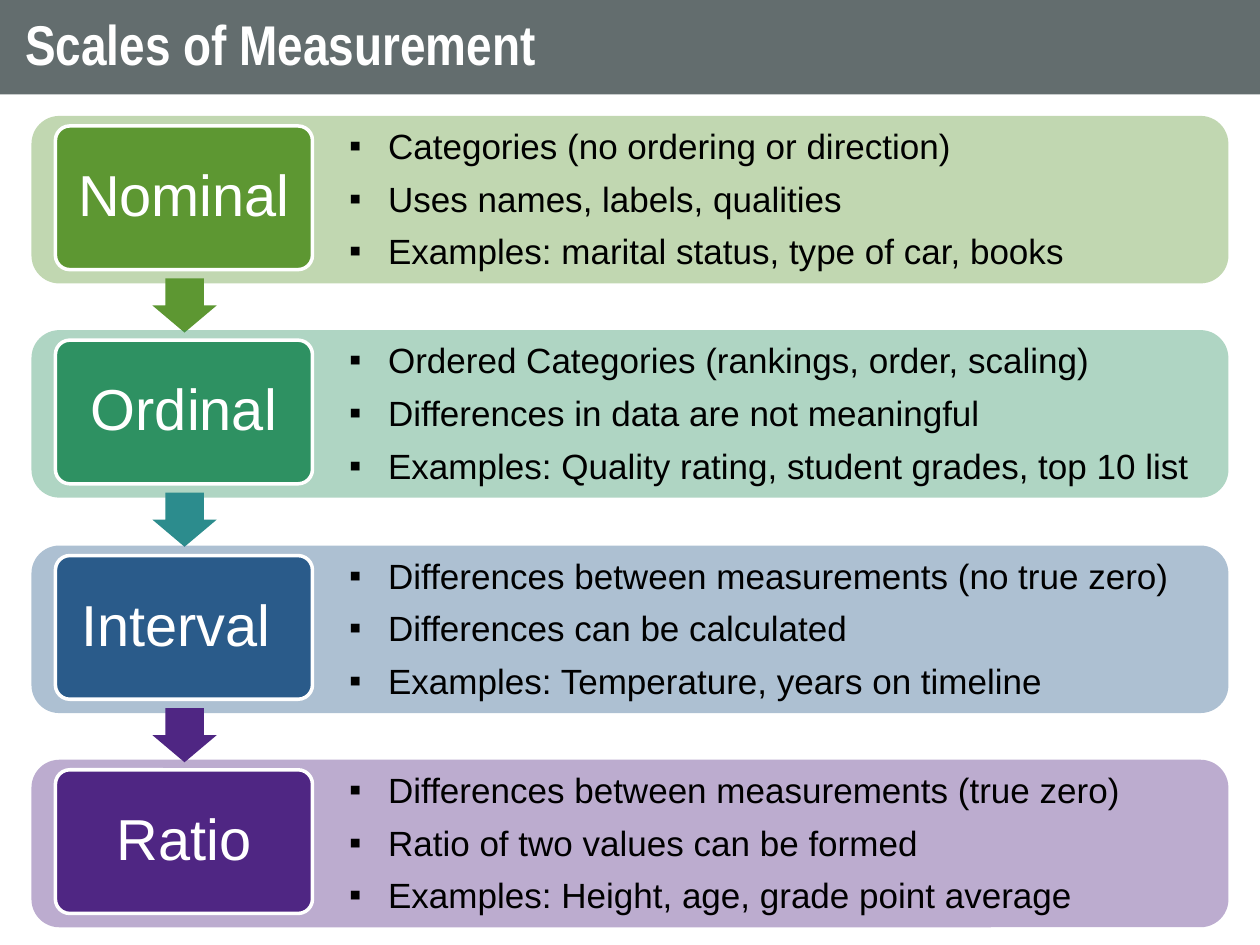
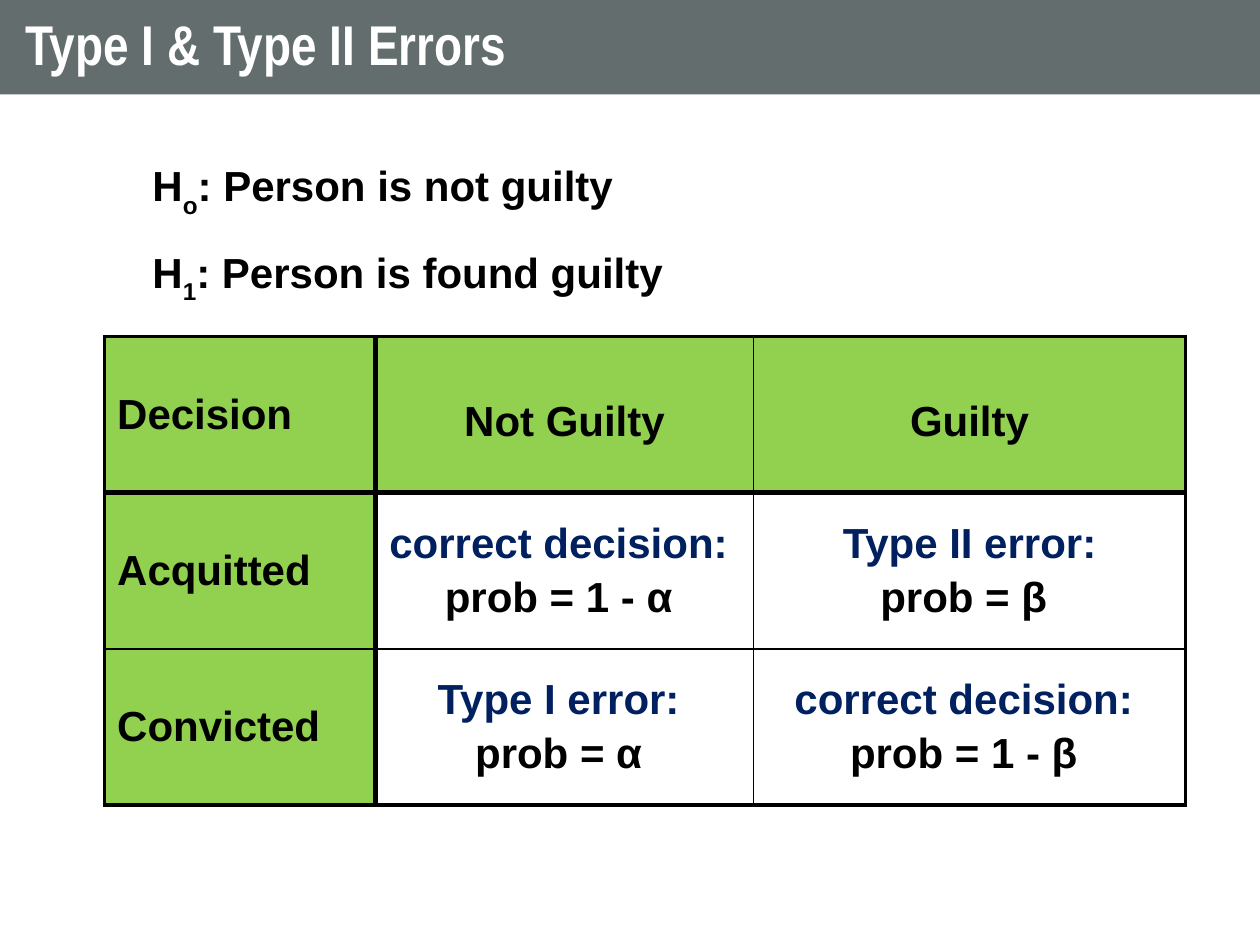
"""Build two statistics slides: scales of measurement and decision errors."""
from dataclasses import dataclass
from typing import NamedTuple

from lxml.etree import SubElement
from pptx import Presentation
from pptx.dml.color import RGBColor
from pptx.enum.shapes import MSO_SHAPE
from pptx.enum.text import MSO_ANCHOR, MSO_AUTO_SIZE, PP_ALIGN
from pptx.oxml.ns import qn
from pptx.util import Emu, Pt

EMU_PER_PX = 9144


@dataclass(frozen=True)
class Theme:
    """Colours, fonts and type sizes shared by the slides."""

    band: str = "636D6E"
    white: str = "FFFFFF"
    black: str = "000000"
    navy: str = "002060"
    header: str = "92D050"
    title_font: str = "Arial Narrow"
    body_font: str = "Arial"
    title_size: int = 32
    scale_size: int = 33
    list_size: int = 20
    table_size: int = 24
    panel_opacity: int = 38


class Scale(NamedTuple):
    """One scale of measurement, its colours and its facts."""

    name: str
    color: str
    arrow_color: str | None
    facts: tuple[str, ...]


class Hypothesis(NamedTuple):
    """A hypothesis with its subscript."""

    subscript: str
    claim: str


class Verdict(NamedTuple):
    """A decision and the outcome lines under each true state."""

    name: str
    outcomes: tuple[tuple[str, str], ...]


THEME = Theme()
SCALES = (
    Scale("Nominal", "5D9732", "5D9732", (
        "Categories (no ordering or direction)",
        "Uses names, labels, qualities",
        "Examples: marital status, type of car, books")),
    Scale("Ordinal", "2E9162", "2C8C8D", (
        "Ordered Categories (rankings, order, scaling)",
        "Differences in data are not meaningful",
        "Examples: Quality rating, student grades, top 10 list")),
    Scale("Interval ", "2A5B8A", "4F2683", (
        "Differences between measurements (no true zero)",
        "Differences can be calculated",
        "Examples: Temperature, years on timeline")),
    Scale("Ratio", "4F2683", None, (
        "Differences between measurements (true zero)",
        "Ratio of two values can be formed",
        "Examples: Height, age, grade point average")),
)
HYPOTHESES = (
    Hypothesis("o", ": Person is not guilty"),
    Hypothesis("1", ": Person is found guilty"),
)
TRUE_STATES = ("Not Guilty", "Guilty")
VERDICTS = (
    Verdict("Acquitted", (("correct decision: ", "prob = 1 - α "),
                          ("Type II error:", "prob = β "))),
    Verdict("Convicted", (("Type I error: ", "prob = α "),
                          ("correct decision: ", "prob = 1 - β "))),
)
COLUMN_WIDTHS = (215, 300, 343)
ROW_HEIGHT = 124
RULE_WIDTHS = (2.25, 3, 1, 2.25)


def px(length: int) -> Emu:
    """Turn px into EMU."""
    return Emu(length * EMU_PER_PX)


def place(box, left: int, top: int, width: int, height: int) -> None:
    """Move and size a shape."""
    box.left, box.top = px(left), px(top)
    box.width, box.height = px(width), px(height)


def paint(target, color: str) -> None:
    """Fill a shape or cell with one colour."""
    target.fill.solid()
    target.fill.fore_color.rgb = RGBColor.from_string(color)


def add_span(para, text: str, size: int, color: str, bold: bool = False,
             font: str = THEME.body_font):
    """Add one formatted run."""
    span = para.add_run()
    span.text = text
    span.font.name, span.font.size, span.font.bold = font, Pt(size), bold
    span.font.color.rgb = RGBColor.from_string(color)
    return span


def next_para(frame, index: int):
    """Return the first paragraph of a frame or add another."""
    return frame.paragraphs[0] if index == 0 else frame.add_paragraph()


def set_bullet(para, left: int, indent: int, mark: str | None = None) -> None:
    """Set the indents and the bullet mark of a paragraph."""
    properties = para._p.get_or_add_pPr()
    properties.set("marL", str(px(left)))
    properties.set("indent", str(px(indent)))
    if mark:
        SubElement(properties, qn("a:buFont")).set("typeface", THEME.body_font)
        SubElement(properties, qn("a:buChar")).set("char", mark)
    else:
        SubElement(properties, qn("a:buNone"))


def prepare_body(box) -> None:
    """Make a body placeholder a plain box in front of the shapes."""
    box.text_frame.auto_size = MSO_AUTO_SIZE.NONE
    box.text_frame.word_wrap = True
    box.text_frame.vertical_anchor = MSO_ANCHOR.TOP
    box.element.getparent().append(box.element)


def add_page(deck, layout: int, title: str):
    """Add a slide with the title band."""
    page = deck.slides.add_slide(deck.slide_layouts[layout])
    box = page.shapes.title
    place(box, 0, 0, 1000, 75)
    paint(box, THEME.band)
    frame = box.text_frame
    frame.auto_size = MSO_AUTO_SIZE.NONE
    frame.vertical_anchor = MSO_ANCHOR.MIDDLE
    frame.margin_left = frame.margin_right = px(20)
    frame.margin_top = frame.margin_bottom = px(10)
    para = frame.paragraphs[0]
    para.alignment, para.line_spacing = PP_ALIGN.LEFT, 0.9
    add_span(para, title, THEME.title_size, THEME.white, True, THEME.title_font)
    return page


def add_block(page, kind: MSO_SHAPE, left: int, top: int, width: int,
              height: int, color: str):
    """Add a flat shape without an outline."""
    box = page.shapes.add_shape(kind, px(left), px(top), px(width), px(height))
    box.shadow.inherit = False
    paint(box, color)
    box.line.fill.background()
    return box


def add_scale(page, scale: Scale, top: int, body) -> None:
    """Draw the panel, name, arrow and facts of one scale."""
    panel = add_block(page, MSO_SHAPE.ROUNDED_RECTANGLE, 25, top, 950, 133, scale.color)
    for color in panel.element.spPr.iter(qn("a:srgbClr")):
        SubElement(color, qn("a:alpha")).set("val", str(THEME.panel_opacity * 1000))

    label = add_block(page, MSO_SHAPE.ROUNDED_RECTANGLE, 44, top + 8, 204, 114, scale.color)
    label.adjustments[0] = 0.1
    label.line.color.rgb = RGBColor.from_string(THEME.white)
    label.line.width = Pt(2)
    frame = label.text_frame
    frame.word_wrap = True
    frame.vertical_anchor = MSO_ANCHOR.MIDDLE
    frame.margin_left = frame.margin_right = px(14)
    para = frame.paragraphs[0]
    para.alignment, para.line_spacing = PP_ALIGN.CENTER, 0.9
    add_span(para, scale.name, THEME.scale_size, THEME.white)

    if scale.arrow_color:
        arrow = add_block(page, MSO_SHAPE.DOWN_ARROW, 121, top + 129, 51, 43,
                          scale.arrow_color)
        arrow.adjustments[0], arrow.adjustments[1] = 0.6, 0.5

    place(body, 267, top + 2, 708, 128)
    prepare_body(body)
    for index, fact in enumerate(scale.facts):
        para = next_para(body.text_frame, index)
        set_bullet(para, 31, -31, "▪")
        para.space_before, para.space_after = Pt(0), Pt(6)
        add_span(para, fact, THEME.list_size, THEME.black)


def add_scales_page(deck) -> None:
    """Build the scales of measurement slide."""
    page = add_page(deck, 4, "Scales of Measurement")
    bodies = list(page.placeholders)[1:]
    for index, (scale, body) in enumerate(zip(SCALES, bodies)):
        add_scale(page, scale, 92 + round(index * 511 / 3), body)


def add_hypotheses(body) -> None:
    """Write the two hypotheses."""
    place(body, 67, 117, 900, 545)
    prepare_body(body)
    for index, hypothesis in enumerate(HYPOTHESES):
        para = next_para(body.text_frame, index)
        set_bullet(para, 44, 0)
        para.alignment, para.line_spacing = PP_ALIGN.JUSTIFY, 1.1
        para.space_before, para.space_after = Pt(0), Pt(12)
        for text in ("H", hypothesis.subscript, hypothesis.claim):
            span = add_span(para, text, THEME.table_size, THEME.black, True)
            if text == hypothesis.subscript:
                span._r.get_or_add_rPr().set("baseline", "-30000")


def set_borders(cell, row: int, column: int) -> None:
    """Rule the four sides of a cell by its place in the grid."""
    properties = cell._tc.get_or_add_tcPr()
    sides = {"L": column, "R": column + 1, "T": row, "B": row + 1}
    for side, position in sides.items():
        line = SubElement(properties, qn(f"a:ln{side}"))
        line.set("w", str(Pt(RULE_WIDTHS[position])))
        fill = SubElement(line, qn("a:solidFill"))
        SubElement(fill, qn("a:srgbClr")).set("val", THEME.black)


def fill_cell(cell, row: int, column: int, lines: tuple[str, ...]) -> None:
    """Write and format one table cell."""
    set_borders(cell, row, column)
    paint(cell, THEME.header if row == 0 or column == 0 else THEME.white)
    cell.vertical_anchor = MSO_ANCHOR.MIDDLE
    cell.margin_left = cell.margin_right = px(10)
    cell.margin_top = px(16 if row == 0 and column > 0 else 5)
    cell.margin_bottom = px(5)
    for index, text in enumerate(lines):
        para = next_para(cell.text_frame, index)
        para.alignment = PP_ALIGN.CENTER if column else PP_ALIGN.LEFT
        para.space_before = Pt(4 * index)
        color = THEME.navy if len(lines) > 1 and index == 0 else THEME.black
        add_span(para, text, THEME.table_size, color, True)


def add_errors_page(deck) -> None:
    """Build the decision errors slide."""
    page = add_page(deck, 1, "Type I & Type II Errors")
    add_hypotheses(page.placeholders[1])
    rows = [(("Decision",), *((state,) for state in TRUE_STATES))]
    rows += [((verdict.name,), *verdict.outcomes) for verdict in VERDICTS]
    table = page.shapes.add_table(
        len(rows), len(COLUMN_WIDTHS), px(83), px(267),
        px(sum(COLUMN_WIDTHS)), px(ROW_HEIGHT * len(rows))).table
    table.first_row = table.horz_banding = False
    for column, width in enumerate(COLUMN_WIDTHS):
        table.columns[column].width = px(width)
    for row, cells in enumerate(rows):
        for column, lines in enumerate(cells):
            fill_cell(table.cell(row, column), row, column, lines)


def main() -> None:
    """Build and save the deck."""
    deck = Presentation()
    deck.slide_width, deck.slide_height = px(1000), px(750)
    add_scales_page(deck)
    add_errors_page(deck)
    deck.save("out.pptx")


if __name__ == "__main__":
    main()
